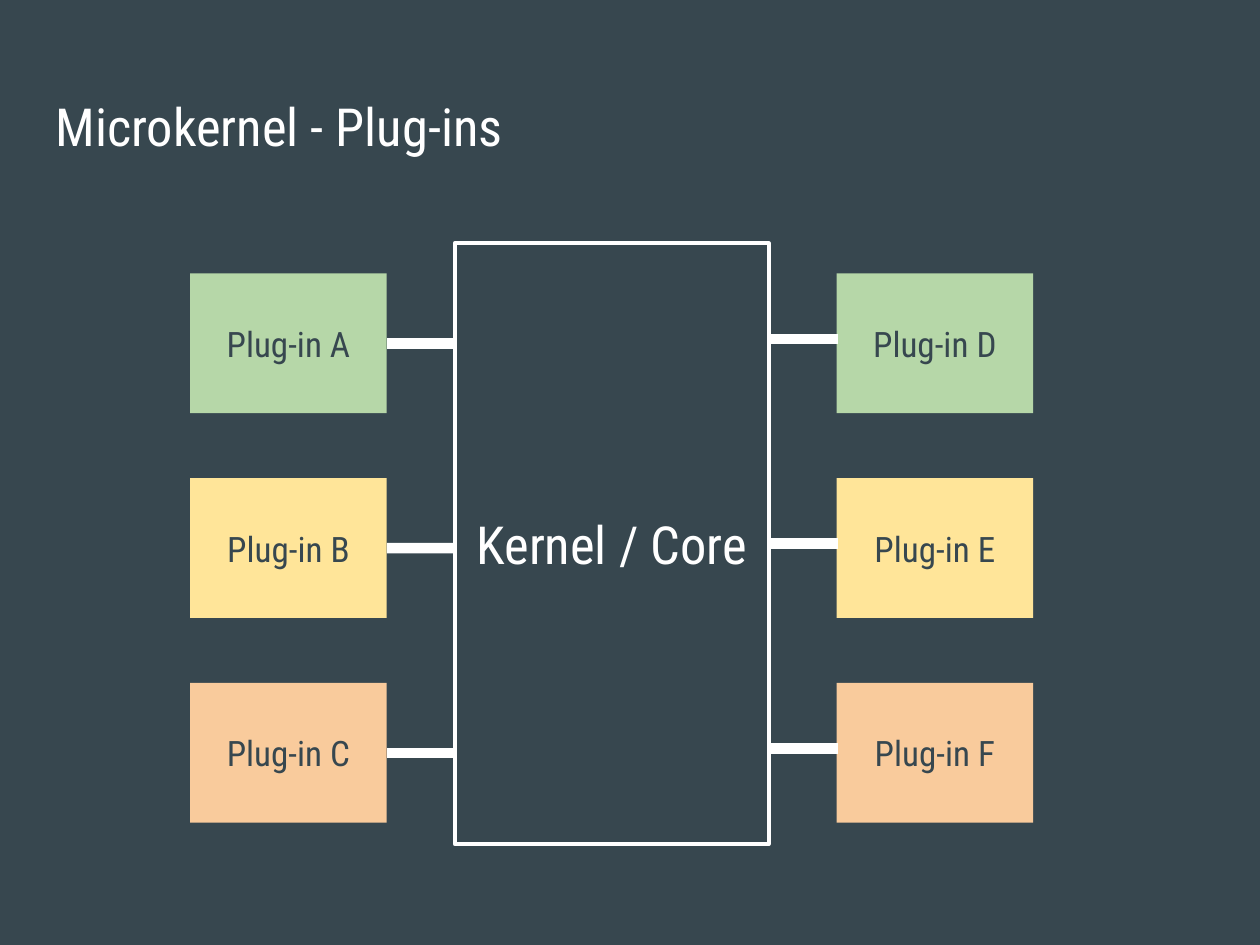
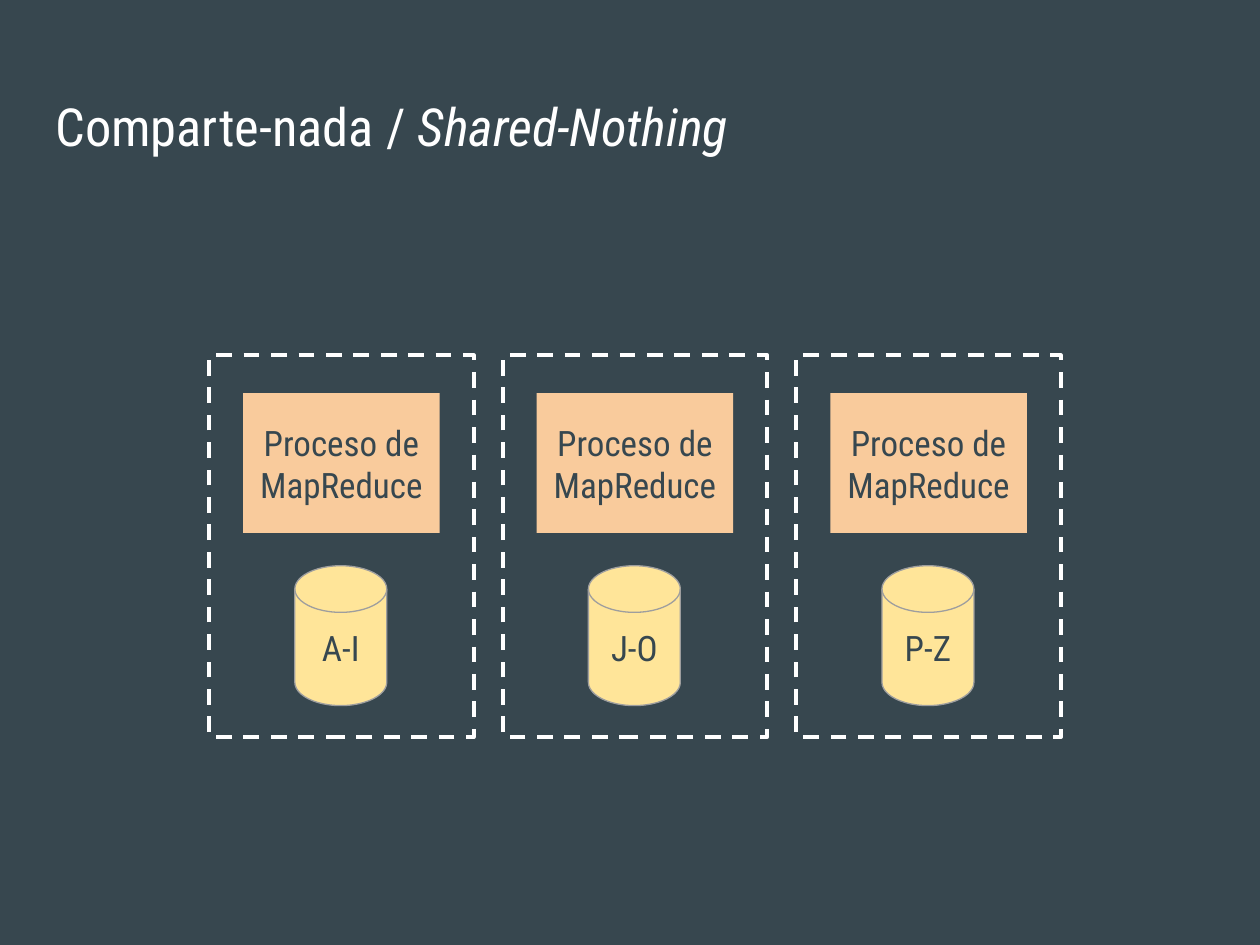
from dataclasses import dataclass

from lxml.etree import SubElement
from pptx import Presentation
from pptx.dml.color import RGBColor
from pptx.enum.dml import MSO_LINE
from pptx.enum.shapes import MSO_CONNECTOR, MSO_SHAPE
from pptx.enum.text import MSO_ANCHOR, MSO_AUTO_SIZE, PP_ALIGN
from pptx.oxml.ns import qn
from pptx.util import Inches, Pt


@dataclass(frozen=True)
class Theme:
    font: str = "Roboto Condensed"
    slate: str = "37474F"
    white: str = "FFFFFF"
    green: str = "B6D7A8"
    yellow: str = "FFE599"
    peach: str = "F9CB9C"
    gray: str = "9E9E9E"
    heading_size: float = 30
    label_size: float = 20
    frame_width: float = 2.25
    thin_width: float = 0.75
    link_width: float = 6


class Deck:
    def __init__(self, theme):
        self.theme = theme
        self.presentation = Presentation()
        self.presentation.slide_width = Inches(10)
        self.presentation.slide_height = Inches(7.5)
        self.paint(self.presentation.slide_master.background.fill, theme.slate)
        self.slide = None

    def paint(self, fill, color):
        fill.solid()
        fill.fore_color.rgb = RGBColor.from_string(color)

    def set_text(self, frame, runs, size, color, align, anchor):
        frame.word_wrap = True
        frame.auto_size = MSO_AUTO_SIZE.NONE
        frame.vertical_anchor = anchor
        frame.margin_left = frame.margin_right = Inches(0.1)
        frame.margin_top = frame.margin_bottom = Inches(0.1)
        paragraph = frame.paragraphs[0]
        paragraph.alignment = align
        for text, italic in runs:
            run = paragraph.add_run()
            run.text = text
            run.font.name = self.theme.font
            run.font.size = Pt(size)
            run.font.italic = italic
            run.font.color.rgb = RGBColor.from_string(color)

    def add_slide(self, *title_runs):
        layout = self.presentation.slide_layouts.get_by_name("Title Only")
        self.slide = self.presentation.slides.add_slide(layout)
        title = self.slide.shapes.title
        title.left, title.top = Inches(0.34), Inches(0.65)
        title.width, title.height = Inches(9.32), Inches(0.83)
        self.set_text(title.text_frame, title_runs, self.theme.heading_size,
                      self.theme.white, PP_ALIGN.LEFT, MSO_ANCHOR.TOP)

    def shape(self, kind, box, fill=None, outline=None, width=None):
        shape = self.slide.shapes.add_shape(kind, *map(Inches, box))
        shape.shadow.inherit = False
        if fill:
            self.paint(shape.fill, fill)
        else:
            shape.fill.background()
        if outline:
            self.paint(shape.line.fill, outline)
            shape.line.width = Pt(width)
        else:
            shape.line.fill.background()
        return shape

    def label(self, shape, text, size=None, color=None):
        self.set_text(shape.text_frame, [(text, None)],
                      size or self.theme.label_size, color or self.theme.slate,
                      PP_ALIGN.CENTER, MSO_ANCHOR.MIDDLE)

    def block(self, left, top, text, fill):
        block = self.shape(MSO_SHAPE.RECTANGLE, (left, top, 1.56, 1.11), fill)
        self.label(block, text)
        return block

    def frame(self, box, dashed=False):
        frame = self.shape(MSO_SHAPE.RECTANGLE, box, None,
                           self.theme.white, self.theme.frame_width)
        if dashed:
            frame.line.dash_style = MSO_LINE.DASH
        return frame

    def cylinder(self, left, top, text):
        cylinder = self.shape(MSO_SHAPE.FLOWCHART_MAGNETIC_DISK,
                              (left, top, 0.73, 1.11), self.theme.yellow,
                              self.theme.gray, self.theme.thin_width)
        self.label(cylinder, text)

    def link(self, left, y, source=None):
        link = self.slide.shapes.add_connector(
            MSO_CONNECTOR.STRAIGHT,
            *map(Inches, (left, y, left + 0.55, y)))
        self.paint(link.line.fill, self.theme.white)
        link.line.width = Pt(self.theme.link_width)
        SubElement(link._element.spPr, qn("a:effectLst"))
        if source is not None:
            link.begin_connect(source, 3)


def build_microkernel(deck):
    theme = deck.theme
    deck.add_slide(("Microkernel - Plug-ins", None))
    kernel = deck.frame((3.61, 1.93, 2.49, 4.77))
    deck.label(kernel, "Kernel / Core", theme.heading_size, theme.white)
    row_colors = (theme.green, theme.yellow, theme.peach)
    row_pitch = (5.42 - 2.17) / 2
    for row, (letters, color) in enumerate(zip(("AD", "BE", "CF"), row_colors)):
        top = 2.17 + row * row_pitch
        left_plugin, _ = [deck.block(left, top, f"Plug-in {letter}", color)
                          for left, letter in zip((1.51, 6.64), letters)]
        deck.link(3.07, top + 1.11 / 2, left_plugin)
        deck.link(6.1, top + 0.52)


def build_shared_nothing(deck):
    deck.add_slide(("Comparte-nada / ", None), ("Shared-Nothing", True))
    for node, key_range in enumerate(("A-I", "J-O", "P-Z")):
        left = 1.66 + node * 2.33
        deck.frame((left, 2.82, 2.1, 3.03), dashed=True)
        deck.block(left + 0.27, 3.12, "Proceso de MapReduce", deck.theme.peach)
        deck.cylinder(left + 0.68, 4.49, key_range)


def main():
    deck = Deck(Theme())
    build_microkernel(deck)
    build_shared_nothing(deck)
    deck.presentation.save("out.pptx")


if __name__ == "__main__":
    main()
